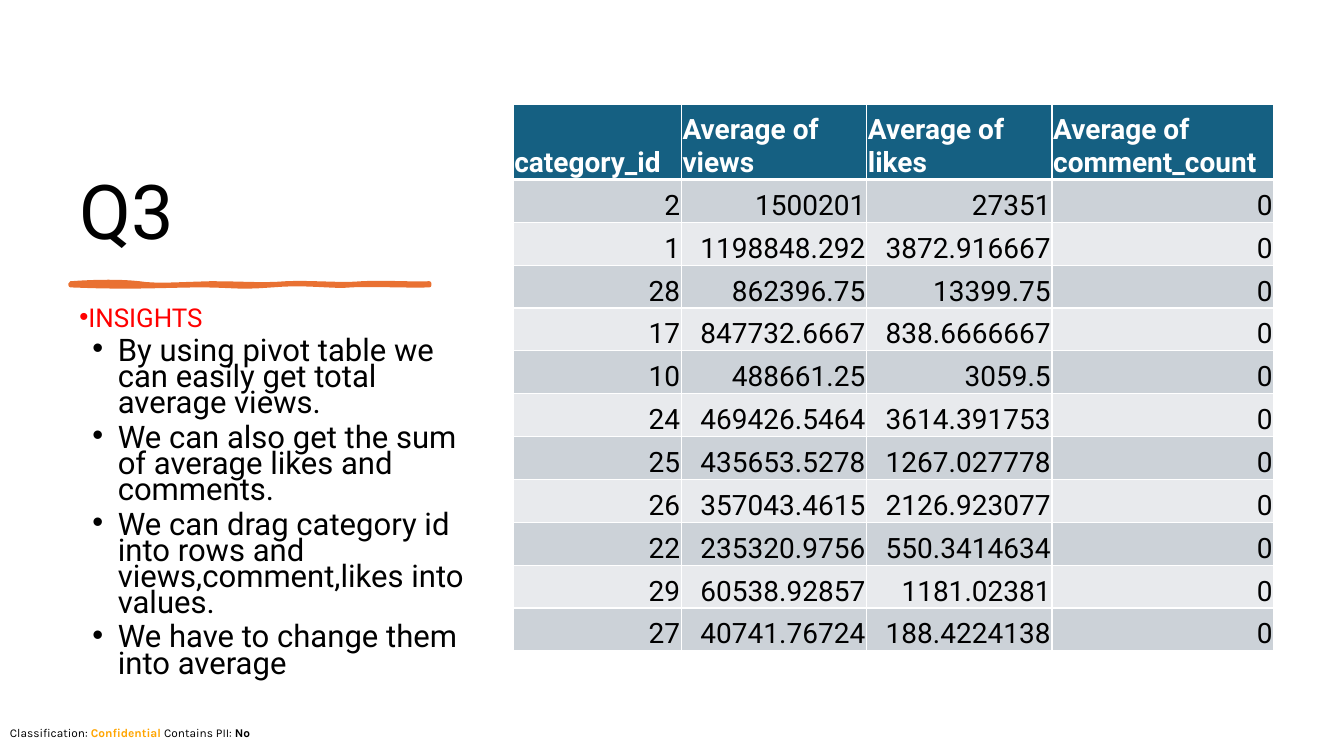
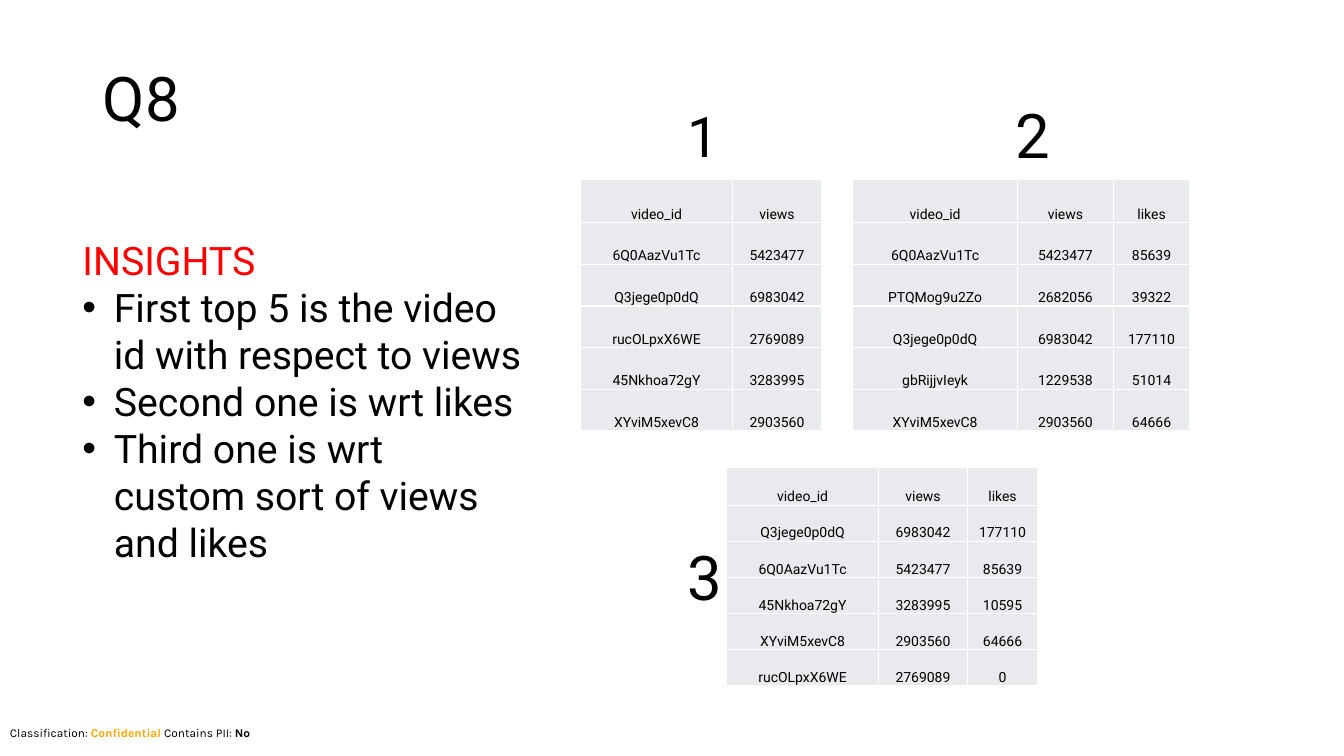
from lxml.etree import SubElement as Sub
from pptx import Presentation
from pptx.dml.color import RGBColor as RGB
from pptx.enum.text import MSO_ANCHOR as Anchor, PP_ALIGN as Align
from pptx.oxml.ns import qn
from pptx.util import Cm, Pt

# Shared look
BLACK, WHITE, RED = "000000", "FFFFFF", "FF0000"
ORANGE, AMBER, BLUE = "E97132", "FFA500", "156082"
DARK, LIGHT = "CCD2D8", "E8EAED"
FACE = "Roboto"
FOOTER = [("Classification: ", BLACK, False), ("Confidential", AMBER, True),
          (" Contains PII: ", BLACK, False), ("No", BLACK, True)]

# Content of Q3
Q3_NOTES = [
    "By using pivot table we can easily get total average views.",
    "We can also get the sum of average likes and comments.",
    "We can drag category id into rows and views,comment,likes into values.",
    "We have to change them into average",
]
Q3_ROWS = [
    ("category_id", "Average of views", "Average of likes",
     "Average of comment_count"),
    ("2", "1500201", "27351", "0"),
    ("1", "1198848.292", "3872.916667", "0"),
    ("28", "862396.75", "13399.75", "0"),
    ("17", "847732.6667", "838.6666667", "0"),
    ("10", "488661.25", "3059.5", "0"),
    ("24", "469426.5464", "3614.391753", "0"),
    ("25", "435653.5278", "1267.027778", "0"),
    ("26", "357043.4615", "2126.923077", "0"),
    ("22", "235320.9756", "550.3414634", "0"),
    ("29", "60538.92857", "1181.02381", "0"),
    ("27", "40741.76724", "188.4224138", "0"),
]
# Brush stroke: a start point, then two handles and an end per curve
START = (1.78, 7.14)
CURVES = [
    ((2.46, 7.09), (3.07, 7.09), (3.51, 7.14)),
    ((3.94, 7.21), (4.5, 7.16), (5.31, 7.14)),
    ((6.12, 7.14), (6.6, 7.19), (7.21, 7.14)),
    ((7.82, 7.11), (8.61, 7.19), (9.12, 7.14)),
    ((9.63, 7.11), (10.46, 7.16), (10.82, 7.14)),
    ((10.82, 7.16), (10.82, 7.19), (10.82, 7.19)),
    ((10.36, 7.21), (9.25, 7.16), (8.84, 7.19)),
    ((8.43, 7.24), (7.72, 7.11), (6.86, 7.19)),
    ((5.97, 7.26), (5.87, 7.19), (5.05, 7.19)),
    ((4.22, 7.19), (3.35, 7.26), (1.78, 7.19)),
]

# Content of Q8
Q8_NOTES = [
    "First top 5 is the video id with respect to views",
    "Second one is wrt likes",
    "Third one is wrt custom sort of views and likes",
]
HEAD = ("video_id", "views", "likes")
BY_VIEWS = [
    HEAD[:2],
    ("6Q0AazVu1Tc", "5423477"),
    ("Q3jege0p0dQ", "6983042"),
    ("rucOLpxX6WE", "2769089"),
    ("45Nkhoa72gY", "3283995"),
    ("XYviM5xevC8", "2903560"),
]
BY_LIKES = [
    HEAD,
    ("6Q0AazVu1Tc", "5423477", "85639"),
    ("PTQMog9u2Zo", "2682056", "39322"),
    ("Q3jege0p0dQ", "6983042", "177110"),
    ("gbRijjvIeyk", "1229538", "51014"),
    ("XYviM5xevC8", "2903560", "64666"),
]
CUSTOM = [
    HEAD,
    ("Q3jege0p0dQ", "6983042", "177110"),
    ("6Q0AazVu1Tc", "5423477", "85639"),
    ("45Nkhoa72gY", "3283995", "10595"),
    ("XYviM5xevC8", "2903560", "64666"),
    ("rucOLpxX6WE", "2769089", "0"),
]
# Left, top, column widths, head height, row height, rows
Q8_GRIDS = [
    (14.63, 4.53, (3.83, 2.24), 1.08, 1.05, BY_VIEWS),
    (21.49, 4.53, (4.15, 2.42, 1.92), 1.08, 1.05, BY_LIKES),
    (18.31, 11.79, (3.83, 2.24, 1.77), 0.94, 0.91, CUSTOM),
]
# Number, size, place
Q8_MARKS = [
    ("1", 40, (17.07, 2.44, 2.51, 1.96)),
    ("2", 44, (25.35, 2.31, 1.98, 2.13)),
    ("3", 44, (17.07, 13.46, 2.95, 2.13)),
]


def color(code):
    return RGB.from_string(code)


def style(font, size, code=BLACK, bold=False, face=FACE):
    font.name, font.size, font.bold = face, Pt(size), bold
    font.color.rgb = color(code)


def frame(slide, place, anchor=Anchor.TOP):
    box = slide.shapes.add_textbox(*map(Cm, place)).text_frame
    box.word_wrap = True
    box.vertical_anchor = anchor
    return box


def label(slide, text, size, place, anchor=Anchor.TOP, gap=1.0):
    para = frame(slide, place, anchor).paragraphs[0]
    para.text = text
    para.line_spacing = gap
    style(para.font, size)


def notes(slide, place, lines, gap=1.0, after=0):
    """Lines hold text, size, colour and (left, hanging) or None."""
    box = frame(slide, place)
    for i, (text, size, code, bullet) in enumerate(lines):
        para = box.add_paragraph() if i else box.paragraphs[0]
        para.text = text
        para.line_spacing = gap
        para.space_after = Pt(after)
        if bullet:
            left, hang = bullet
            props = para._p.get_or_add_pPr()
            props.set("marL", str(Cm(left)))
            props.set("indent", str(-Cm(hang)))
            Sub(props, qn("a:buFont"), typeface="Arial")
            Sub(props, qn("a:buChar"), char="•")
        style(para.font, size, code)


def edges(cell, base=1):
    props = cell._tc.get_or_add_tcPr()
    for side, width in zip("LRTB", (1, 1, 1, base)):
        line = Sub(props, qn("a:ln" + side), w=str(Pt(width)))
        fill = Sub(line, qn("a:solidFill"))
        Sub(fill, qn("a:srgbClr"), val=WHITE)


def grid(slide, left, top, widths, head, row, rows, look):
    """look(r) gives fill, text colour, bold, align, size, bottom edge."""
    high = head + row * (len(rows) - 1)
    place = map(Cm, (left, top, sum(widths), high))
    table = slide.shapes.add_table(len(rows), len(widths), *place).table
    table.first_row = table.horz_banding = False
    for col, width in zip(table.columns, widths):
        col.width = Cm(width)
    for r, texts in enumerate(rows):
        table.rows[r].height = Cm(row if r else head)
        fill, code, bold, align, size, base = look(r)
        for c, text in enumerate(texts):
            cell = table.cell(r, c)
            edges(cell, base)
            cell.fill.solid()
            cell.fill.fore_color.rgb = color(fill)
            cell.vertical_anchor = Anchor.BOTTOM
            cell.margin_left = cell.margin_right = cell.margin_top = Cm(0.03)
            cell.margin_bottom = 0
            para = cell.text_frame.paragraphs[0]
            para.text = text
            para.alignment = align
            style(para.font, size, code, bold)


def banded(r):
    if r == 0:
        return BLUE, WHITE, True, Align.LEFT, 20, 3
    return DARK if r % 2 else LIGHT, BLACK, False, Align.RIGHT, 20, 1


def plain(r):
    return LIGHT, BLACK, False, Align.CENTER, 10, 1


def brush(slide, steps=8):
    spots, a = [], START
    for b, c, d in CURVES:
        for t in (n / steps for n in range(1, steps + 1)):
            u = 1 - t
            mix = (u ** 3, 3 * u * u * t, 3 * u * t * t, t ** 3)
            spots.append([Cm(sum(m * p[k] for m, p in zip(mix, (a, b, c, d))))
                          for k in (0, 1)])
        a = d
    pen = slide.shapes.build_freeform(*map(Cm, START))
    pen.add_line_segments(spots, close=True)
    shape = pen.convert_to_shape()
    shape.shadow.inherit = False
    shape.fill.solid()
    shape.fill.fore_color.rgb = shape.line.color.rgb = color(ORANGE)
    shape.line.width = Pt(3)


def start(deck):
    slide = deck.slides.add_slide(deck.slide_layouts[6])
    para = frame(slide, (0, 18.16, 33.87, 0.61)).paragraphs[0]
    for text, code, bold in FOOTER:
        run = para.add_run()
        run.text = text
        style(run.font, 8.5, code, bold, "Karla")
    return slide


def main():
    deck = Presentation()
    deck.slide_width, deck.slide_height = Cm(33.87), Cm(19.05)

    # Q3: averages per category
    slide = start(deck)
    label(slide, "Q3", 54, (1.75, 1.78, 9.53, 4.78), Anchor.BOTTOM, 0.9)
    brush(slide)
    lines = [("INSIGHTS", 18.5, RED, (0, 0.64))]
    lines += [(text, 22.2, BLACK, (0.97, 0.64)) for text in Q3_NOTES]
    notes(slide, (1.75, 7.7, 10.39, 10.26), lines, 0.7, 6)
    grid(slide, 12.93, 2.64, (4.24, 4.67, 4.67, 5.59), 1.88, 1.08,
         Q3_ROWS, banded)

    # Q8: top five videos
    slide = start(deck)
    label(slide, "Q8", 44, (2.34, 1.02, 3.15, 3.07), Anchor.MIDDLE, 0.9)
    for part in Q8_GRIDS:
        grid(slide, *part, plain)
    lines = [("INSIGHTS", 28, RED, None)]
    lines += [(text, 28, BLACK, (0.79, 0.79)) for text in Q8_NOTES]
    notes(slide, (1.83, 5.82, 11.58, 7.44), lines)
    for text, size, place in Q8_MARKS:
        label(slide, text, size, place)

    deck.save("out.pptx")


if __name__ == "__main__":
    main()
